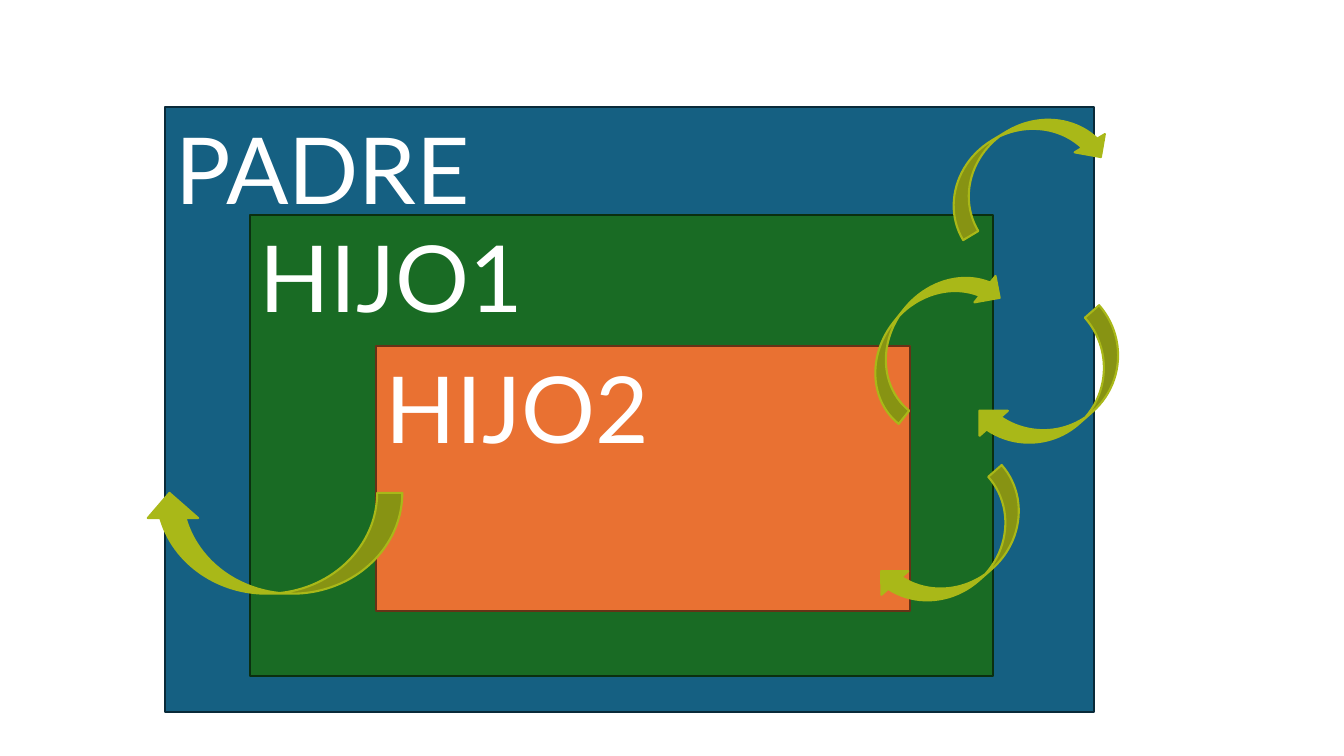
from pptx import Presentation
from pptx import util as u
from pptx.dml.color import RGBColor
from pptx.enum import shapes, text

PX = 9144  # EMU per px, 100 px to the inch
THEME = {
    "font": "Lato",
    "label_size": 66,
    "line_width": 1.5,
    "label": "FFFFFF",
    "arrow": "A9B818",
}

# label, left, top, width, height, fill, outline
nested_boxes = [
    ("PADRE", 164, 106, 921, 600, "156082", "092A39"),
    ("HIJO1", 248, 213, 737, 458, "196B24", "0B2F10"),
    ("HIJO2", 373, 343, 530, 263, "E97132", "663216"),
]

# left, top, width, height, rotation
curved_arrows = [
    (1011, 301, 75, 177, 48.6),
    (915, 458, 71, 177, 48.6),
    (887, 242, 67, 177, 218.7),
    (978, 74, 70, 177, 238.9),
    (221, 411, 100, 256, 90),
]

prs = Presentation()
prs.slide_width = 1333 * PX
prs.slide_height = 750 * PX
slide = prs.slides.add_slide(prs.slide_layouts[6])


def add_outlined(preset, bounds, fill, outline):
    shape = slide.shapes.add_shape(preset, *(length * PX for length in bounds))
    shape.shadow.inherit = False
    shape.fill.solid()
    shape.fill.fore_color.rgb = RGBColor.from_string(fill)
    shape.line.color.rgb = RGBColor.from_string(outline)
    shape.line.width = u.Pt(THEME["line_width"])
    return shape


for label, *bounds, fill, outline in nested_boxes:
    box = add_outlined(shapes.MSO_SHAPE.RECTANGLE, bounds, fill, outline)
    frame = box.text_frame
    frame.word_wrap = True
    frame.vertical_anchor = text.MSO_ANCHOR.TOP
    paragraph = frame.paragraphs[0]
    paragraph.alignment = text.PP_ALIGN.LEFT
    run = paragraph.add_run()
    run.text = label
    run.font.name = THEME["font"]
    run.font.size = u.Pt(THEME["label_size"])
    run.font.color.rgb = RGBColor.from_string(THEME["label"])

for *bounds, rotation in curved_arrows:
    arrow = add_outlined(shapes.MSO_SHAPE.CURVED_LEFT_ARROW, bounds,
                         THEME["arrow"], THEME["arrow"])
    arrow.rotation = rotation

prs.save("out.pptx")
